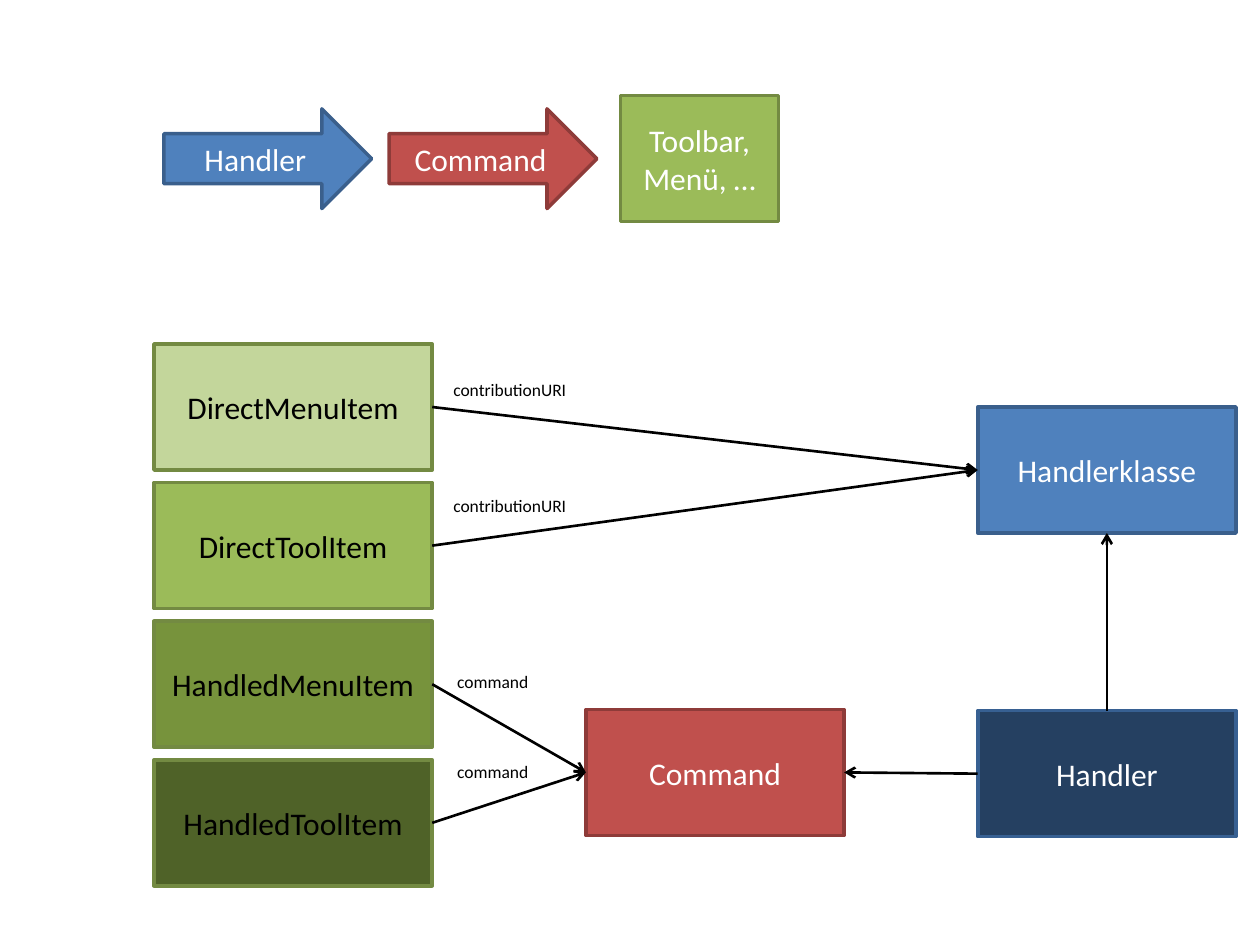
import dataclasses

import pptx
import pptx.dml.color
import pptx.enum.shapes
import pptx.enum.text
import pptx.oxml
import pptx.oxml.ns
import pptx.util

Pt = pptx.util.Pt
SHAPES = pptx.enum.shapes.MSO_SHAPE
TOP, LEFT, BOTTOM, RIGHT = range(4)  # connection sites of a rectangle


@dataclasses.dataclass(frozen=True)
class Theme:
    font: str = "Calibri"
    node_size: float = 18
    label_size: float = 10
    outline: float = 2
    arrow_width: float = 1.5
    white: str = "FFFFFF"
    black: str = "000000"
    blue: str = "4F81BD"
    blue_edge: str = "3A5F8C"
    navy: str = "254061"
    navy_edge: str = "376092"
    red: str = "C0504D"
    red_edge: str = "8E3B39"
    green: str = "9BBB59"
    green_edge: str = "738A42"
    pale_green: str = "C3D69B"
    mid_green: str = "77933C"
    dark_green: str = "4F6228"


THEME = Theme()


def rgb(value):
    return pptx.dml.color.RGBColor.from_string(value)


def set_attributes(target, values):
    for name, value in values.items():
        setattr(target, name, value)


def write_text(shape, text, size, color, frame_format, alignment):
    frame = shape.text_frame
    set_attributes(frame, frame_format)
    paragraph = frame.paragraphs[0]
    paragraph.alignment = alignment
    run = paragraph.add_run()
    run.text = text
    set_attributes(run.font, {"name": THEME.font, "size": Pt(size)})
    run.font.color.rgb = rgb(color)


def add_node(shapes, kind, box, text, fill, edge, color=THEME.white):
    """Add a filled shape with centred text."""
    shape = shapes.add_shape(kind, *map(Pt, box))
    shape.shadow.inherit = False
    shape.fill.solid()
    shape.fill.fore_color.rgb = rgb(fill)
    shape.line.color.rgb = rgb(edge)
    shape.line.width = Pt(THEME.outline)
    frame_format = {
        "word_wrap": True,
        "vertical_anchor": pptx.enum.text.MSO_ANCHOR.MIDDLE,
    }
    write_text(shape, text, THEME.node_size, color, frame_format,
               pptx.enum.text.PP_ALIGN.CENTER)
    return shape


def add_label(slide, box, text):
    shape = slide.shapes.add_textbox(*map(Pt, box))
    frame_format = {
        "word_wrap": False,
        "auto_size": pptx.enum.text.MSO_AUTO_SIZE.SHAPE_TO_FIT_TEXT,
    }
    write_text(shape, text, THEME.label_size, THEME.black, frame_format,
               pptx.enum.text.PP_ALIGN.LEFT)


def connect(slide, source, source_site, target, target_site):
    """Join two nodes with an open-headed arrow."""
    connector = slide.shapes.add_connector(
        pptx.enum.shapes.MSO_CONNECTOR.STRAIGHT, 0, 0, 0, 0)
    connector.begin_connect(source, source_site)
    connector.end_connect(target, target_site)
    connector.line.color.rgb = rgb(THEME.black)
    connector.line.width = Pt(THEME.arrow_width)
    head = pptx.oxml.parse_xml(
        f'<a:tailEnd {pptx.oxml.ns.nsdecls("a")} type="arrow"/>')
    connector.line._get_or_add_ln().append(head)
    effects = pptx.oxml.parse_xml(
        f'<a:effectLst {pptx.oxml.ns.nsdecls("a")}/>')
    connector._element.spPr.append(effects)


def add_overview(slide, left, top, width, height):
    """Grouped chain: two arrows leading to the user interface box."""
    shapes = slide.shapes.add_group_shape().shapes
    arrow_width, arrow_height, pitch, target_width = 118.8, 57, 128.7, 90.5
    arrow_top = top + (height - arrow_height) / 2
    arrows = [
        ("Handler", THEME.blue, THEME.blue_edge),
        ("Command", THEME.red, THEME.red_edge),
    ]
    for index, (text, fill, edge) in enumerate(arrows):
        box = (left + index * pitch, arrow_top, arrow_width, arrow_height)
        add_node(shapes, SHAPES.RIGHT_ARROW, box, text, fill, edge)
    target_box = (left + width - target_width, top, target_width, height)
    add_node(shapes, SHAPES.RECTANGLE, target_box, "Toolbar, Menü, …",
             THEME.green, THEME.green_edge)


def add_items(slide, left, top, width, height):
    """Column of four equally spaced menu and tool items."""
    node_height = 72
    pitch = (height - node_height) / 3
    items = [
        ("DirectMenuItem", THEME.pale_green),
        ("DirectToolItem", THEME.green),
        ("HandledMenuItem", THEME.mid_green),
        ("HandledToolItem", THEME.dark_green),
    ]
    return [
        add_node(slide.shapes, SHAPES.RECTANGLE,
                 (left, top + index * pitch, width, node_height),
                 text, fill, THEME.green_edge, THEME.black)
        for index, (text, fill) in enumerate(items)
    ]


def add_targets(slide, left, top, width, height):
    """Handler class, command and handler on the right-hand side."""
    node_width, node_height = 147.6, 72
    right = left + width - node_width
    bottom = top + height - node_height
    nodes = [
        (right, top, "Handlerklasse", THEME.blue, THEME.blue_edge),
        (left, bottom - 0.7, "Command", THEME.red, THEME.red_edge),
        (right, bottom, "Handler", THEME.navy, THEME.navy_edge),
    ]
    return [
        add_node(slide.shapes, SHAPES.RECTANGLE,
                 (x, y, node_width, node_height), text, fill, edge)
        for x, y, text, fill, edge in nodes
    ]


def add_diagram(slide, left, top, width, height):
    """Items, their targets, and the labelled arrows between them."""
    items = add_items(slide, left, top, 159, height)
    handler_class, command, handler = add_targets(
        slide, left + 246.8, top + 36, width - 246.8, 245.5)

    # Arrows
    for item, target in zip(items, [handler_class] * 2 + [command] * 2):
        connect(slide, item, RIGHT, target, LEFT)
    connect(slide, handler, LEFT, command, RIGHT)
    connect(slide, handler, TOP, handler_class, BOTTOM)

    # Arrow labels
    labels = [
        ("contributionURI", 164, 16.5, 80),
        ("contributionURI", 164, 83, 80),
        ("command", 166.2, 183.5, 55.4),
        ("command", 166.2, 234.7, 55.4),
    ]
    for text, x, y, label_width in labels:
        add_label(slide, (left + x, top + y, label_width, 19.4), text)


def main():
    presentation = pptx.Presentation()
    set_attributes(presentation,
                   {"slide_width": Pt(720), "slide_height": Pt(540)})
    blank_layout = presentation.slide_layouts[6]
    slide = presentation.slides.add_slide(blank_layout)
    add_overview(slide, 93.6, 54.7, 351.4, 72)
    add_diagram(slide, 88, 196.6, 618.3, 309.6)
    presentation.save("out.pptx")


if __name__ == "__main__":
    main()
